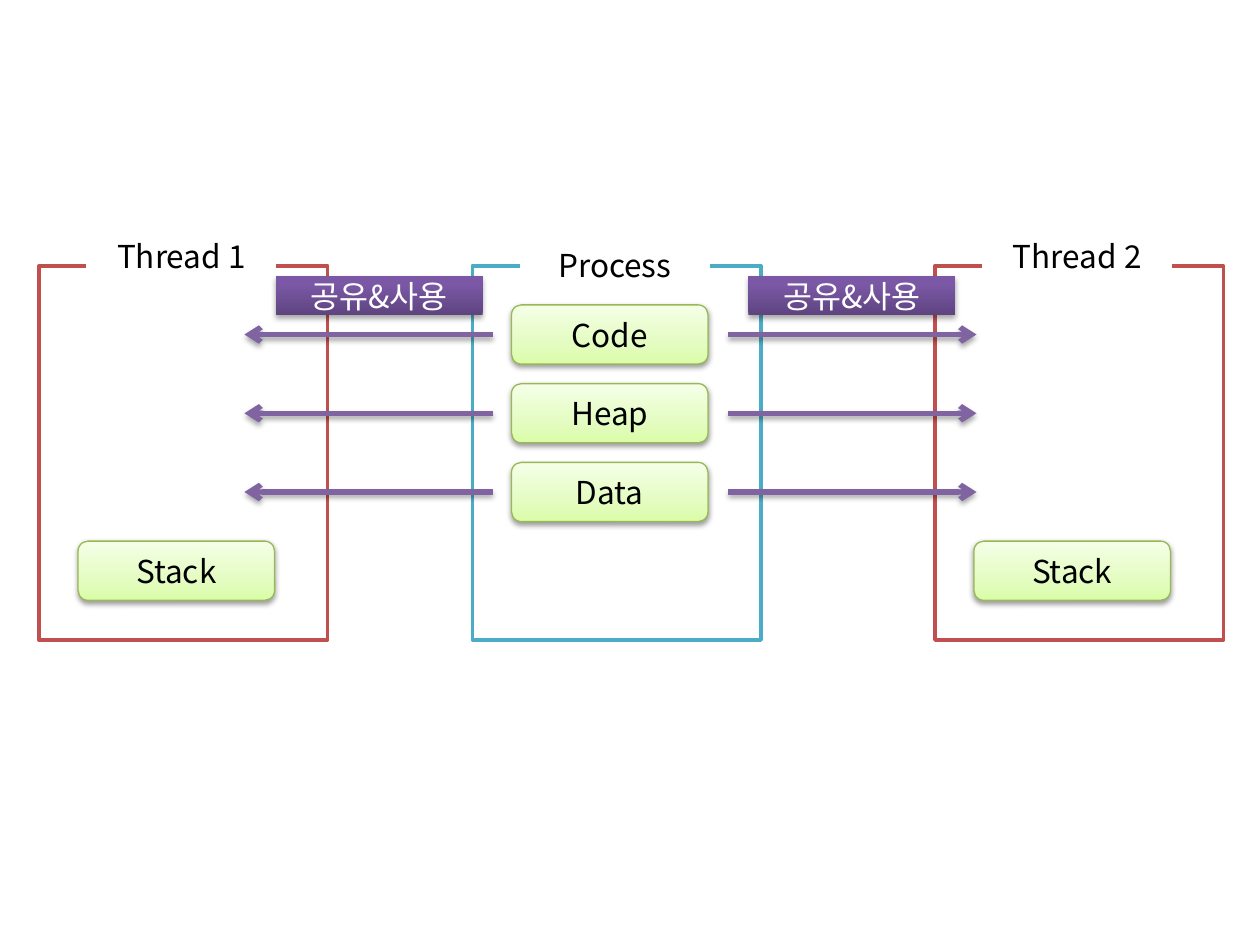
from lxml.etree import SubElement
from pptx import Presentation
from pptx.dml.color import RGBColor
from pptx.enum.shapes import MSO_CONNECTOR, MSO_SHAPE
from pptx.enum.text import MSO_ANCHOR, PP_ALIGN
from pptx.oxml.ns import qn
from pptx.util import Inches, Pt

# Content: name, frame left, title left, title top, box left, (row, box text)
WHITE, BLACK = RGBColor(255, 255, 255), RGBColor(0, 0, 0)
RED, TEAL = RGBColor(0xC0, 0x50, 0x4D), RGBColor(0x4B, 0xAC, 0xC6)
GREEN, PURPLE = RGBColor(0x98, 0xB9, 0x55), RGBColor(0x80, 0x64, 0xA2)
LIME = [(0, RGBColor(0xDA, 0xFD, 0xA7)), (35, RGBColor(0xE4, 0xFC, 0xC2)),
        (100, RGBColor(0xF5, 0xFF, 0xE7))]
VIOLET = [(0, RGBColor(0x5F, 0x44, 0x80)), (80, RGBColor(0x7B, 0x58, 0xA6)),
          (100, RGBColor(0x7C, 0x57, 0xA8))]
PANELS = [
    ("Process", TEAL, 3.75, 4.14, 1.87, 4.06,
     [(0, "Code"), (1, "Heap"), (2, "Data")]),
    ("Thread 1", RED, 0.31, 0.7, 1.8, 0.62, [(3, "Stack")]),
    ("Thread 2", RED, 7.42, 7.81, 1.8, 7.73, [(3, "Stack")]),
]
ARROWS = [(3.91, 1.94), (5.78, 7.75)]
SHARE, SHARE_X = "공유&사용", (2.19, 5.94)
FONT = "Noto Sans CJK KR"
TOP, STEP, BOX_H = 2.42, 0.625, 0.47

deck = Presentation()
deck.slide_width, deck.slide_height = Inches(10), Inches(7.5)
slide = deck.slides.add_slide(deck.slide_layouts[6])
shapes = slide.shapes


def write(shape, text, size=18, color=BLACK):
    frame = shape.text_frame
    frame.word_wrap = True
    frame.vertical_anchor = MSO_ANCHOR.MIDDLE
    para = frame.paragraphs[0]
    para.alignment = PP_ALIGN.CENTER
    run = para.add_run()
    run.text = text
    run.font.size = Pt(size)
    run.font.color.rgb = color
    run.font.name = FONT
    SubElement(run.font._element, qn("a:ea"), typeface=FONT)


def stop(parent, tag, color, **attrs):
    node = SubElement(parent, qn(tag), **attrs)
    return SubElement(node, qn("a:srgbClr"), val=str(color))


def shade(effects, alpha, dist):
    color = stop(effects, "a:outerShdw", BLACK, blurRad=str(Pt(3.1)),
                 dist=str(Pt(dist)), dir="5400000", rotWithShape="0")
    SubElement(color, qn("a:alpha"), val=str(alpha * 1000))


def block(kind, x, y, w, h, fill, line=None, width=2, shadow=None):
    shape = shapes.add_shape(kind, *map(Inches, (x, y, w, h)))
    shape.shadow.inherit = False
    props = shape._element.spPr
    if isinstance(fill, list):
        shape.fill.gradient()
        shape.fill.gradient_angle = 90
        stops = props.find(qn("a:gradFill")).find(qn("a:gsLst"))
        for old in list(stops):
            stops.remove(old)
        for pos, color in fill:
            stop(stops, "a:gs", color, pos=str(pos * 1000))
    else:
        shape.fill.solid()
        shape.fill.fore_color.rgb = fill
    if line is None:
        shape.line.fill.background()
    else:
        shape.line.color.rgb = line
        shape.line.width = Pt(width)
    if shadow:
        shade(props.find(qn("a:effectLst")), *shadow)
    return shape


def arrow(start, end, y):
    link = shapes.add_connector(MSO_CONNECTOR.STRAIGHT,
                                *map(Inches, (start, y, end, y)))
    link.line.color.rgb = PURPLE
    link.line.width = Pt(3)
    SubElement(link.line._ln, qn("a:tailEnd"), type="arrow")
    shade(SubElement(link._element.spPr, qn("a:effectLst")), 35, 1.8)


# Panels with their titles and memory boxes
for name, color, left, title_x, title_y, box_x, boxes in PANELS:
    block(MSO_SHAPE.RECTANGLE, left, 2.11, 2.29, 2.97, WHITE, color)
    title = block(MSO_SHAPE.RECTANGLE, title_x, title_y, 1.48, BOX_H, WHITE, WHITE)
    write(title, name)
    for row, text in boxes:
        box = block(MSO_SHAPE.ROUNDED_RECTANGLE, box_x, TOP + row * STEP, 1.56,
                    BOX_H, LIME, GREEN, 0.75, (38, 1.6))
        write(box, text)

# Arrows from each shared row to both threads
for row in range(3):
    for start, end in ARROWS:
        arrow(start, end, TOP + row * STEP + BOX_H / 2)

# Labels over the arrows
for x in SHARE_X:
    label = block(MSO_SHAPE.RECTANGLE, x, 2.19, 1.64, 0.31, VIOLET, shadow=(35, 1.8))
    write(label, SHARE, color=WHITE)

deck.save("out.pptx")
